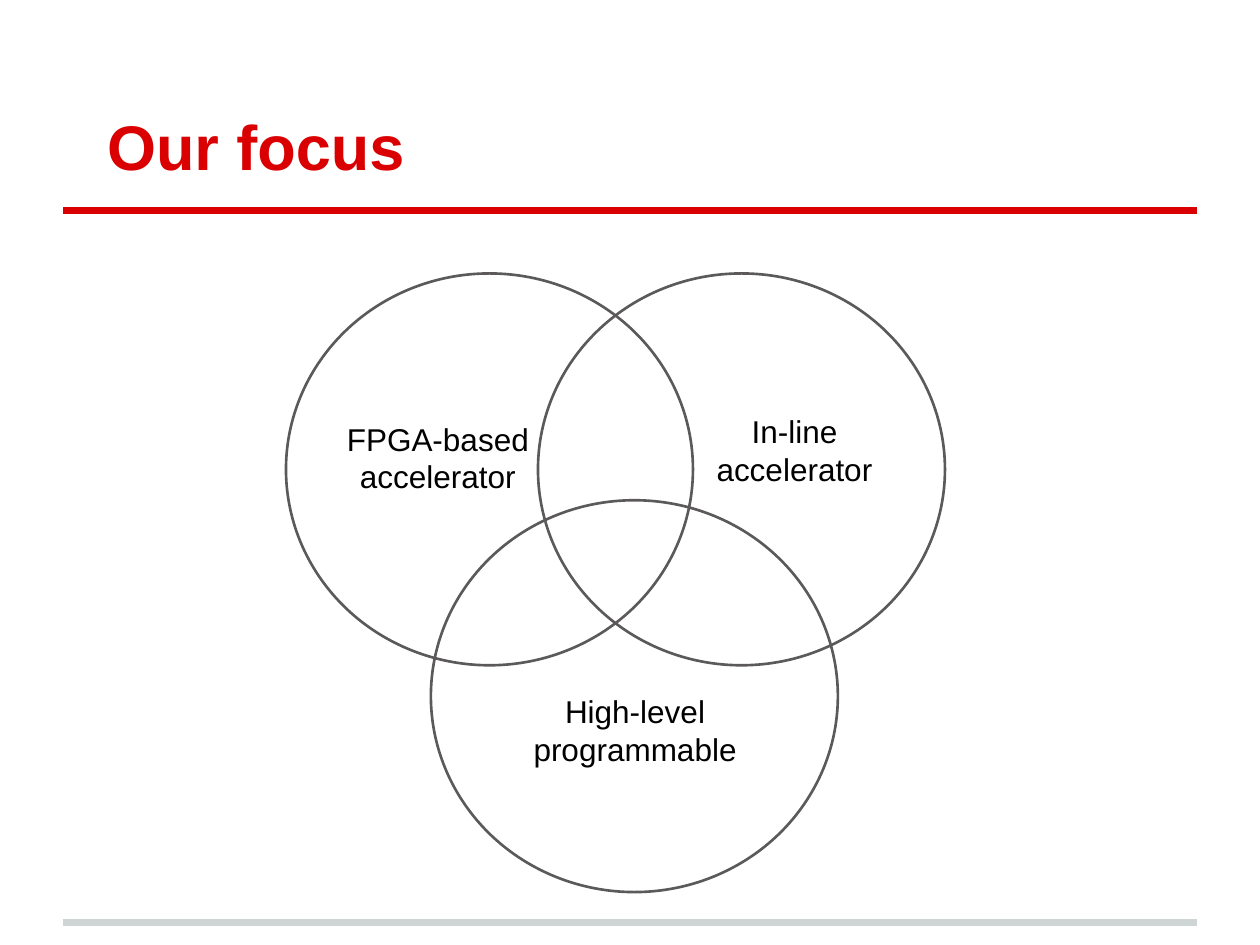
from pptx import Presentation
from pptx.dml.color import RGBColor
from pptx.enum.shapes import MSO_CONNECTOR, MSO_SHAPE
from pptx.enum.text import MSO_ANCHOR, PP_ALIGN
from pptx.oxml.ns import qn
from pptx.util import Inches, Pt
from lxml.etree import SubElement

RED = RGBColor(0xDA, 0x00, 0x02)
SILVER = RGBColor(0xCF, 0xD4, 0xD4)
GRAY = RGBColor(0x5B, 0x59, 0x5A)
BLACK = RGBColor(0x00, 0x00, 0x00)
FONT = "Arial"
CIRCLE_W, CIRCLE_H = 3.23, 3.11
LABEL_H = 0.81

CIRCLES = [(0, 0), (2, 0), (1.15, 1.8)]
LABELS = [
    ("FPGA-based accelerator", 0.15, 1.06, 2.11),
    ("In-line accelerator", 2.98, 1, 2.11),
    ("High-level programmable", 1.73, 3.22, 2.08),
]


def format_text(tf, size, color, align, bold=False):
    tf.word_wrap = True
    tf.margin_left = tf.margin_right = Inches(0.1)
    tf.margin_top = tf.margin_bottom = Inches(0.1)
    p = tf.paragraphs[0]
    p.alignment = align
    font = p.runs[0].font
    font.name, font.size, font.bold = FONT, Pt(size), bold
    font.color.rgb = color


def add_rule(slide, left, top, width, color):
    line = slide.shapes.add_connector(
        MSO_CONNECTOR.STRAIGHT, Inches(left), Inches(top), Inches(left + width), Inches(top))
    line.line.color.rgb = color
    line.line.width = Pt(4)
    SubElement(line._element.spPr, qn("a:effectLst"))


def add_title(slide, left, top, width, height, text):
    title = slide.shapes.title
    title.left, title.top = Inches(left), Inches(top)
    title.width, title.height = Inches(width), Inches(height)
    tf = title.text_frame
    tf.text = text
    tf.vertical_anchor = MSO_ANCHOR.BOTTOM
    format_text(tf, 36, RED, PP_ALIGN.LEFT, bold=True)
    pPr = tf.paragraphs[0]._p.get_or_add_pPr()
    pPr.set("marL", "0")
    pPr.set("indent", str(Inches(0.25)))


def add_venn(slide, left, top):
    for dx, dy in CIRCLES:
        sp = slide.shapes.add_shape(
            MSO_SHAPE.OVAL, Inches(left + dx), Inches(top + dy),
            Inches(CIRCLE_W), Inches(CIRCLE_H))
        sp.shadow.inherit = False
        sp.fill.background()
        sp.line.color.rgb = GRAY
        sp.line.width = Pt(1.5)
    for text, dx, dy, width in LABELS:
        box = slide.shapes.add_textbox(
            Inches(left + dx), Inches(top + dy), Inches(width), Inches(LABEL_H))
        box.text_frame.text = text
        format_text(box.text_frame, 18, BLACK, PP_ALIGN.CENTER)


def main():
    prs = Presentation()
    prs.slide_width, prs.slide_height = Inches(10), Inches(7.5)
    slide = prs.slides.add_slide(prs.slide_layouts[5])
    add_rule(slide, 0.5, 7.32, 9, SILVER)
    add_rule(slide, 0.5, 1.67, 9, RED)
    add_title(slide, 0.5, 0.3, 9, 1.25, "Our focus")
    add_venn(slide, 2.27, 2.17)
    prs.save("out.pptx")


if __name__ == "__main__":
    main()
